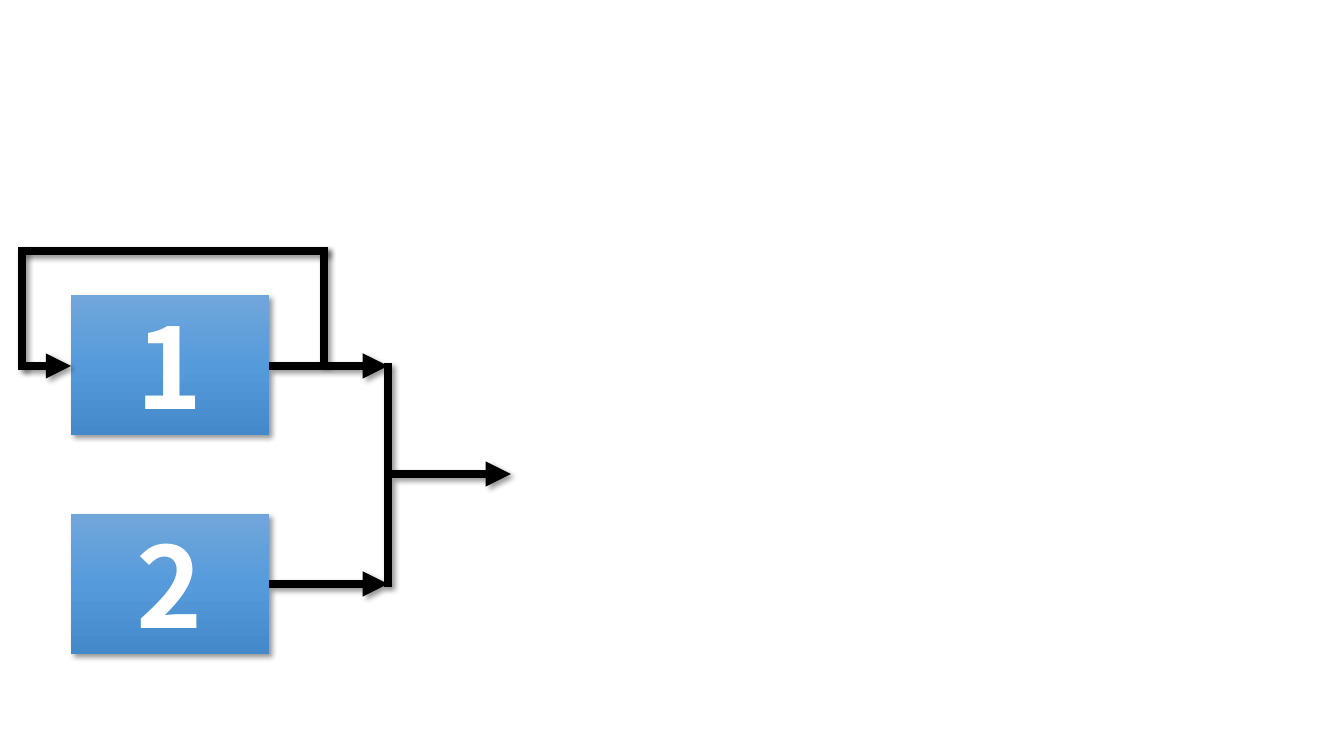
"""Build a slide with a feedback loop on block 1 and a merge of blocks 1 and 2."""
import copy
import dataclasses
import typing

import lxml.etree
import pptx
import pptx.dml.color
import pptx.enum.shapes
import pptx.enum.text
import pptx.oxml.ns
import pptx.util

SCALE = 914400 / 100.8
COLORS = {"top": "71A6DB", "middle": "559BDB", "bottom": "448ACA",
          "wire": "000000", "shadow": "000000", "label": "FFFFFF"}
GRADIENT = ((0, "top"), (0.5, "middle"), (1, "bottom"))
LABEL_FORMAT = {"name": "Noto Sans CJK JP", "size": pptx.util.Pt(80), "bold": True}
FRAME_FORMAT = {"vertical_anchor": pptx.enum.text.MSO_ANCHOR.MIDDLE, "word_wrap": True}
SHADOW_FORMAT = {"blurRad": pptx.util.Pt(4), "dist": pptx.util.Pt(3),
                 "dir": 45 * 60000, "algn": "tl", "rotWithShape": 0}

BLOCK_LEFT, BLOCK_TOP, BLOCK_WIDTH, BLOCK_HEIGHT, BLOCK_PITCH = 71, 295, 198, 140, 219
BLOCK_RIGHT = BLOCK_LEFT + BLOCK_WIDTH
LOOP_LEFT, LOOP_TOP, LOOP_RIGHT = 22, 251, 324
MERGE_X, MERGE_Y, OUTPUT_X = 388, 474, 511
FIRST_Y, SECOND_Y = 366, 584
HALF_WIRE = 4


@dataclasses.dataclass(frozen=True)
class Block:
    """A numbered block."""
    label: str
    top: int


@dataclasses.dataclass(frozen=True)
class Wire:
    """A straight wire, with or without an arrowhead."""
    start: tuple[int, int]
    end: tuple[int, int]
    arrow: bool = False


BLOCKS = [Block(str(index + 1), BLOCK_TOP + index * BLOCK_PITCH) for index in range(2)]
WIRES = [
    Wire((LOOP_RIGHT, FIRST_Y), (LOOP_RIGHT, LOOP_TOP - HALF_WIRE)),
    Wire((LOOP_RIGHT + HALF_WIRE, LOOP_TOP), (LOOP_LEFT, LOOP_TOP)),
    Wire((LOOP_LEFT, LOOP_TOP - HALF_WIRE), (LOOP_LEFT, FIRST_Y + HALF_WIRE)),
    Wire((LOOP_LEFT, FIRST_Y), (BLOCK_LEFT, FIRST_Y), True),
    Wire((BLOCK_RIGHT, SECOND_Y), (MERGE_X, SECOND_Y), True),
    Wire((MERGE_X, SECOND_Y + 3), (MERGE_X, FIRST_Y - 3)),
    Wire((BLOCK_RIGHT, FIRST_Y), (MERGE_X, FIRST_Y), True),
    Wire((MERGE_X + HALF_WIRE, MERGE_Y), (OUTPUT_X, MERGE_Y), True),
]


def emu(*pixels: int) -> list[int]:
    """Turn pixels into EMU."""
    return [round(pixel * SCALE) for pixel in pixels]


def color(name: str) -> pptx.dml.color.RGBColor:
    """Look up a named colour."""
    return pptx.dml.color.RGBColor.from_string(COLORS[name])


def apply_format(target: typing.Any, values: dict[str, typing.Any]) -> None:
    """Set attributes from a dict of format values."""
    for name, value in values.items():
        setattr(target, name, value)


def add_child(parent: typing.Any, tag: str, **values: typing.Any) -> typing.Any:
    """Append a drawing element with its attributes."""
    attributes = {name: str(value) for name, value in values.items()}
    return lxml.etree.SubElement(parent, pptx.oxml.ns.qn(f"a:{tag}"), attributes)


def add_shadow(properties: typing.Any) -> None:
    """Give a shape or connector the soft outer shadow."""
    effects = add_child(properties, "effectLst")
    shadow = add_child(effects, "outerShdw", **SHADOW_FORMAT)
    tint = add_child(shadow, "srgbClr", val=COLORS["shadow"])
    add_child(tint, "alpha", val=40000)


def fill_gradient(box: typing.Any) -> None:
    """Fill a block with the three-stop vertical gradient."""
    box.fill.gradient()
    box.fill.gradient_angle = 270
    stops = box._element.spPr.find(".//" + pptx.oxml.ns.qn("a:gsLst"))
    stops.append(copy.deepcopy(stops[-1]))
    for stop, (position, name) in zip(box.fill.gradient_stops, GRADIENT):
        apply_format(stop, {"position": position})
        apply_format(stop.color, {"rgb": color(name)})


def draw_block(page: typing.Any, block: Block) -> None:
    """Draw a block with its number."""
    box = page.shapes.add_shape(pptx.enum.shapes.MSO_SHAPE.RECTANGLE,
                                *emu(BLOCK_LEFT, block.top, BLOCK_WIDTH, BLOCK_HEIGHT))
    fill_gradient(box)
    box.line.fill.background()
    add_shadow(box._element.spPr)
    apply_format(box.text_frame, FRAME_FORMAT)
    para = box.text_frame.paragraphs[0]
    para.alignment = pptx.enum.text.PP_ALIGN.CENTER
    span = para.add_run()
    span.text = block.label
    apply_format(span.font, LABEL_FORMAT)
    span.font.color.rgb = color("label")


def draw_wire(page: typing.Any, wire: Wire) -> None:
    """Draw a wire and its arrowhead."""
    connector = page.shapes.add_connector(pptx.enum.shapes.MSO_CONNECTOR.STRAIGHT,
                                          *emu(*wire.start, *wire.end))
    connector.line.width = pptx.util.Pt(6)
    connector.line.color.rgb = color("wire")
    if wire.arrow:
        add_child(connector.line._get_or_add_ln(), "tailEnd", type="triangle")
    add_shadow(connector._element.spPr)


def main() -> None:
    """Build and save the deck."""
    deck = pptx.Presentation()
    deck.slide_width, deck.slide_height = emu(1344, 756)
    page = deck.slides.add_slide(deck.slide_layouts[6])
    for block in BLOCKS:
        draw_block(page, block)
    for wire in WIRES:
        draw_wire(page, wire)
    deck.save("out.pptx")


main()
